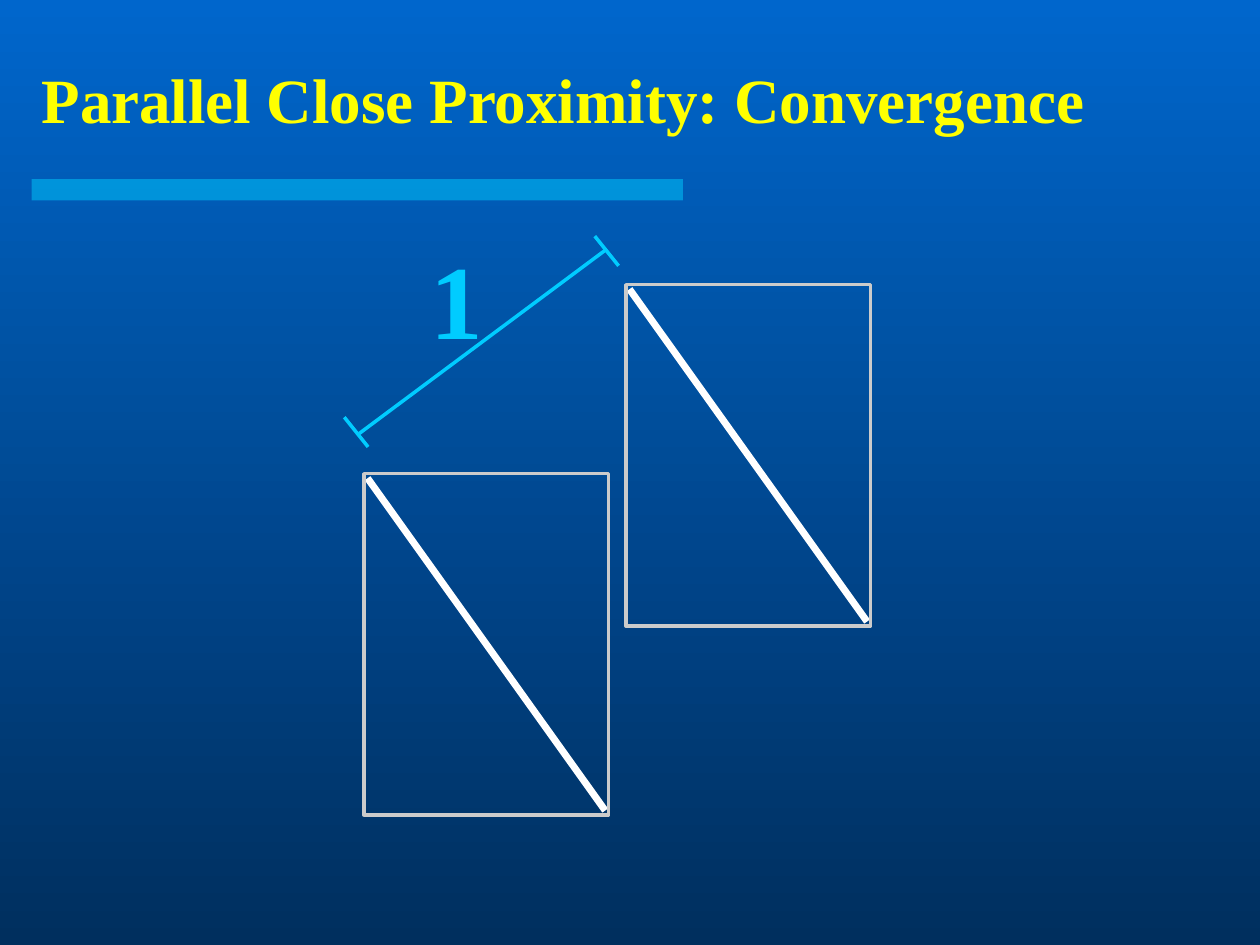
import pptx
import pptx.dml.color
import pptx.enum.shapes
import pptx.enum.text
import pptx.oxml
import pptx.oxml.ns
import pptx.util
from lxml import etree

Cm = pptx.util.Cm
Pt = pptx.util.Pt
FONT = "Times New Roman"
CYAN = "00CCFF"
WHITE = "FFFFFF"
GREY = "CBCBCB"
YELLOW = "FFFF00"

PANEL_SIZE = (4.93, 6.88)
PANEL_CORNERS = [(12.62, 5.74), (7.34, 9.55)]
INSET = (0.07, 0.09)  # gap between a panel's corners and its diagonal
TICK_HALF = (0.24, 0.3)
TICK_CENTRES = [(7.18, 8.71), (12.23, 5.06)]


def color(hex_string):
    return pptx.dml.color.RGBColor.from_string(hex_string)


def set_background(slide, top, bottom):
    fill = slide.background.fill
    fill.gradient()
    fill.gradient_angle = 270
    for stop, hex_string in zip(fill.gradient_stops, (top, bottom)):
        stop.color.rgb = color(hex_string)


def add_rectangle(slide, left, top, width, height):
    shape = slide.shapes.add_shape(
        pptx.enum.shapes.MSO_SHAPE.RECTANGLE,
        Cm(left), Cm(top), Cm(width), Cm(height))
    shape.shadow.inherit = False
    return shape


def add_bar(slide, left, top, width, height, hex_string, opacity):
    shape = add_rectangle(slide, left, top, width, height)
    shape.fill.solid()
    shape.fill.fore_color.rgb = color(hex_string)
    shape.line.fill.background()
    # Transparency
    tag = pptx.oxml.ns.qn("a:srgbClr")
    fill_color = next(shape.fill._xPr.iter(tag))
    alpha = etree.SubElement(fill_color, pptx.oxml.ns.qn("a:alpha"))
    alpha.set("val", str(opacity * 1000))


def add_panel(slide, left, top):
    shape = add_rectangle(slide, left, top, *PANEL_SIZE)
    shape.fill.background()
    shape.line.color.rgb = color(GREY)
    shape.line.width = Pt(2)


def add_line(slide, start, end, hex_string, width):
    connector = slide.shapes.add_connector(
        pptx.enum.shapes.MSO_CONNECTOR.STRAIGHT,
        Cm(start[0]), Cm(start[1]), Cm(end[0]), Cm(end[1]))
    connector.line.color.rgb = color(hex_string)
    connector.line.width = Pt(width)
    properties = connector._element.spPr
    etree.SubElement(properties, pptx.oxml.ns.qn("a:effectLst"))


def add_text(slide, box, text, size, hex_string, wrap=True):
    shape = slide.shapes.add_textbox(*[Cm(length) for length in box])
    frame = shape.text_frame
    frame.word_wrap = wrap
    frame.vertical_anchor = pptx.enum.text.MSO_ANCHOR.MIDDLE
    paragraph = frame.paragraphs[0]
    paragraph.alignment = pptx.enum.text.PP_ALIGN.CENTER
    run = paragraph.add_run()
    run.text = text
    run.font.name = FONT
    run.font.size = Pt(size)
    run.font.bold = True
    run.font.color.rgb = color(hex_string)


def main():
    presentation = pptx.Presentation()
    presentation.slide_width = Cm(25.4)
    presentation.slide_height = Cm(19.05)
    slide = presentation.slides.add_slide(presentation.slide_layouts[6])

    # Background and accent bar
    set_background(slide, "0066CC", "002F5E")
    add_bar(slide, 0.64, 3.61, 13.13, 0.43, CYAN, 50)

    # Distance marker with end ticks
    add_line(slide, (7.24, 8.74), (12.22, 5.03), CYAN, 2)
    half_x, half_y = TICK_HALF
    for x, y in TICK_CENTRES:
        add_line(slide, (x + half_x, y + half_y), (x - half_x, y - half_y), CYAN, 2)

    # Diagonals, then the panels that frame them
    for left, top in PANEL_CORNERS:
        start = (left + INSET[0], top + INSET[1])
        end = (left + PANEL_SIZE[0] - INSET[0], top + PANEL_SIZE[1] - INSET[1])
        add_line(slide, start, end, WHITE, 4)
    for left, top in PANEL_CORNERS:
        add_panel(slide, left, top)

    # Distance label and title
    add_text(slide, (8.43, 4.6, 1.55, 2.79), "1", 60, CYAN, wrap=False)
    add_text(slide, (0, 0.81, 22.71, 2.36),
             "Parallel Close Proximity: Convergence", 36, YELLOW)

    presentation.save("out.pptx")


if __name__ == "__main__":
    main()
